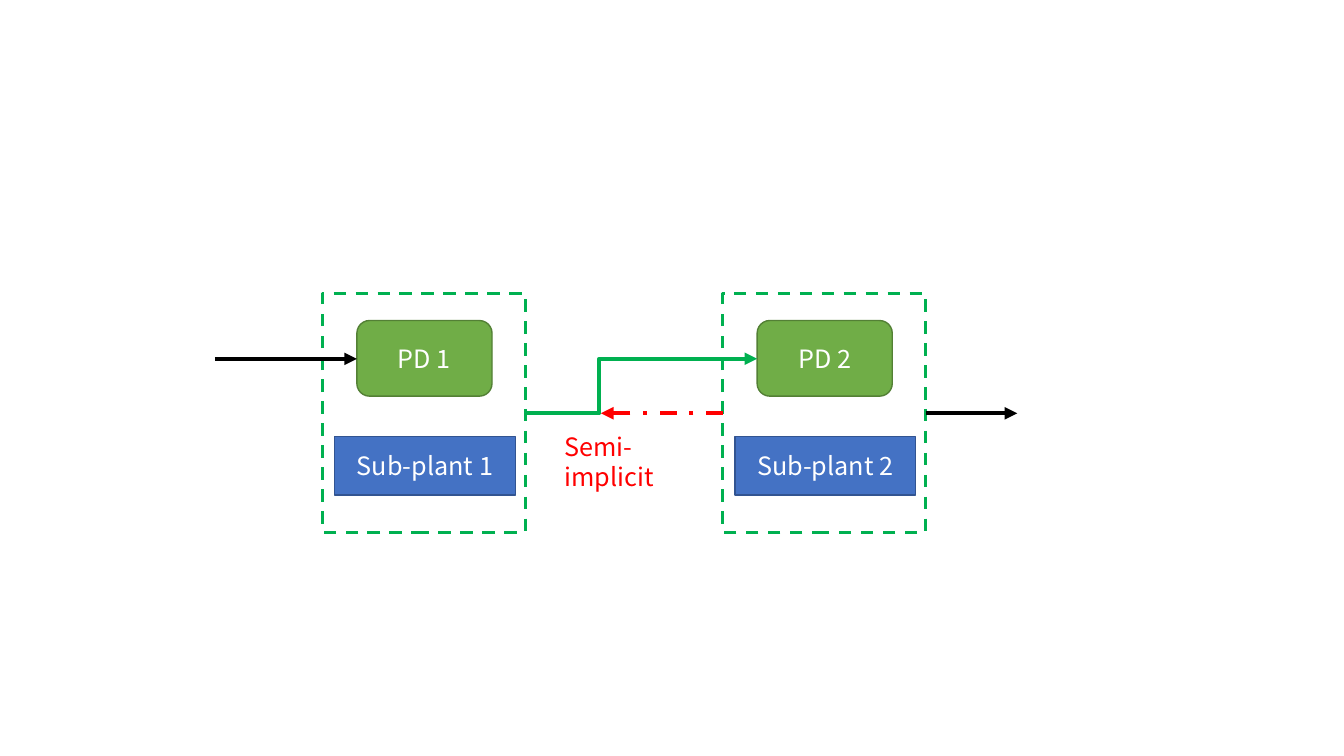
from pptx import Presentation
from pptx.dml.color import RGBColor
from pptx.enum.dml import MSO_LINE_DASH_STYLE as Dash
from pptx.enum.shapes import MSO_CONNECTOR as Link, MSO_SHAPE as Shape
from pptx.enum.text import MSO_ANCHOR, PP_ALIGN
from pptx.oxml.ns import qn
from pptx.util import Pt
from lxml.etree import SubElement

PX = 9144  # EMU, 100 px to the inch
FONT = "Noto Sans CJK SC"
BLACK, WHITE, RED, GREEN = "000000", "FFFFFF", "FF0000", "00B050"

# Lefts are for the first stage; each later stage moves right by STAGE_STEP.
STAGES = [("PD 1", "Sub-plant 1"), ("PD 2", "Sub-plant 2")]
STAGE_STEP = 397
FRAME = (320, 291, 201, 237)
CONTROLLER = (354, 318, 134, 75)
PLANT = (332, 433, 179, 58)
INPUT_Y, OUTPUT_Y = 356, 410
BEND = 0.316  # share of the feed's width before it turns up

# kind, from, to, colour, dash
ARROWS = [
    (Link.STRAIGHT, (213, INPUT_Y), (354, INPUT_Y), BLACK, None),
    (Link.STRAIGHT, (918, OUTPUT_Y), (1009, OUTPUT_Y), BLACK, None),
    (Link.ELBOW, (522, OUTPUT_Y), (751, INPUT_Y), GREEN, None),
    (Link.STRAIGHT, (717, OUTPUT_Y), (596, OUTPUT_Y), RED, Dash.DASH_DOT),
]
NOTE = ("Semi-implicit", (550, 423, 130, 70))


def color(value):
    return RGBColor.from_string(value)


def emu(lengths):
    return [length * PX for length in lengths]


def write(box, text, ink):
    box.text_frame.text = text
    font = box.text_frame.paragraphs[0].runs[0].font
    font.name, font.size = FONT, Pt(18)
    font.color.rgb = color(ink)


def add_box(page, kind, place, shift, line, width, fill=None):
    left, top, wide, high = place
    box = page.shapes.add_shape(kind, *emu((left + shift, top, wide, high)))
    box.shadow.inherit = False
    box.line.color.rgb = color(line)
    box.line.width = Pt(width)
    if fill:
        box.fill.solid()
        box.fill.fore_color.rgb = color(fill)
    else:
        box.fill.background()
    return box


def add_block(page, kind, place, shift, line, fill, text):
    """Add a filled box with a centred label."""
    box = add_box(page, kind, place, shift, line, 1, fill)
    write(box, text, WHITE)
    box.text_frame.vertical_anchor = MSO_ANCHOR.MIDDLE
    box.text_frame.paragraphs[0].alignment = PP_ALIGN.CENTER


def add_arrow(page, kind, start, end, ink, dash):
    arrow = page.shapes.add_connector(kind, *emu(start + end))
    arrow.line.color.rgb = color(ink)
    arrow.line.width = Pt(3)
    if dash:
        arrow.line.dash_style = dash
    properties = arrow._element.spPr
    SubElement(properties.find(qn("a:ln")), qn("a:tailEnd"), type="triangle")
    SubElement(properties, qn("a:effectLst"))
    if kind == Link.ELBOW:
        guides = properties.find(qn("a:prstGeom")).get_or_add_avLst()
        SubElement(guides, qn("a:gd"), name="adj1", fmla=f"val {round(BEND * 100000)}")


def main():
    deck = Presentation()
    deck.slide_width, deck.slide_height = emu((1333, 750))
    page = deck.slides.add_slide(deck.slide_layouts[6])

    for index, (controller, plant) in enumerate(STAGES):
        shift = index * STAGE_STEP
        add_block(page, Shape.RECTANGLE, PLANT, shift, "325491", "4472C4", plant)
        add_block(page, Shape.ROUNDED_RECTANGLE, CONTROLLER, shift,
                  "538035", "70AD47", controller)
        frame = add_box(page, Shape.RECTANGLE, FRAME, shift, GREEN, 2.25)
        frame.line.dash_style = Dash.DASH

    for arrow in ARROWS:
        add_arrow(page, *arrow)

    text, place = NOTE
    note = page.shapes.add_textbox(*emu(place))
    note.text_frame.word_wrap = True
    write(note, text, RED)

    deck.save("out.pptx")


if __name__ == "__main__":
    main()
